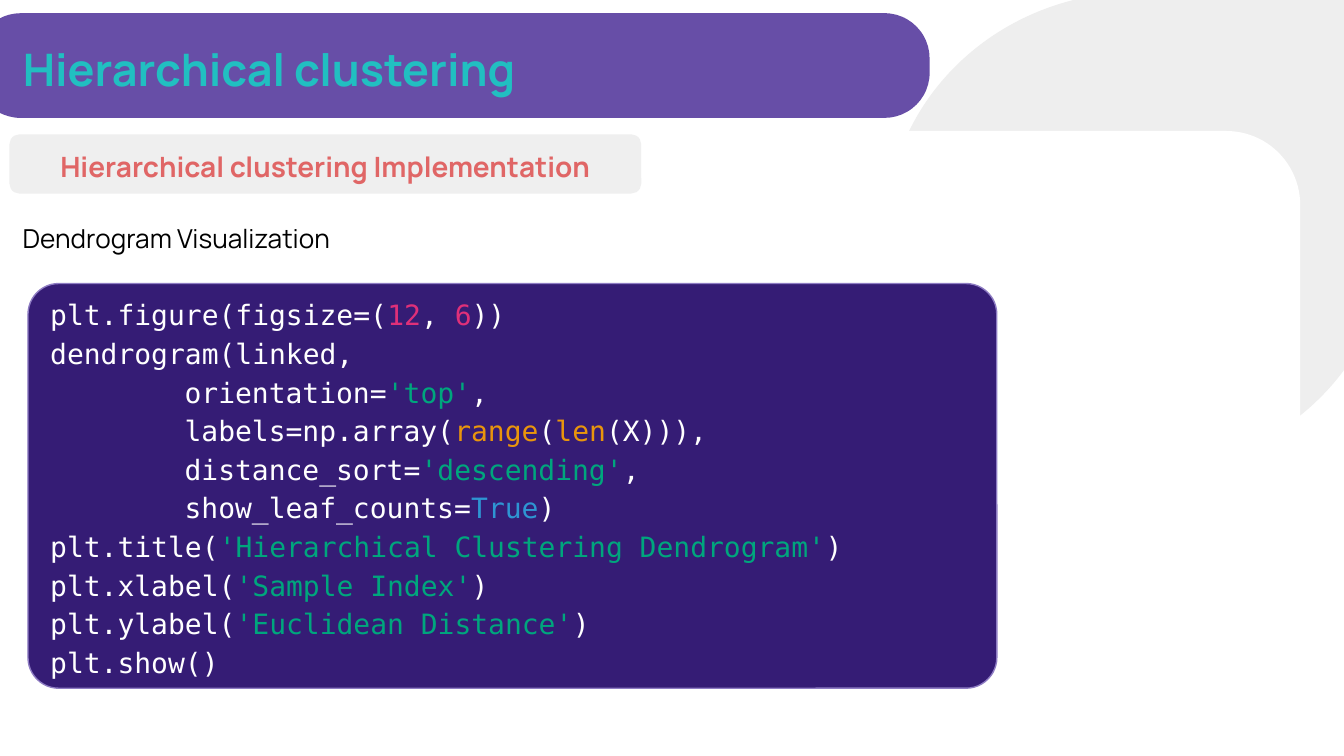
from dataclasses import dataclass

from pptx import Presentation
from pptx.dml.color import RGBColor as Rgb
from pptx.enum.shapes import MSO_SHAPE as Shape
from pptx.enum.text import MSO_ANCHOR as Anchor, MSO_AUTO_SIZE as AutoSize, PP_ALIGN as Align
from pptx.util import Cm, Pt


@dataclass(frozen=True)
class Theme:
    text_font: str = "Manrope"
    code_font: str = "DejaVu Sans Mono"
    title_size: float = 24
    label_size: float = 15
    body_size: float = 14
    code_size: float = 15
    white: str = "FFFFFF"
    black: str = "000000"
    backdrop: str = "EEEEEE"
    bar: str = "674EA7"
    title: str = "21BFC1"
    label_fill: str = "EFEFEF"
    label: str = "E06666"
    code_fill: str = "351C75"
    code_line: str = "8E7CC3"
    number: str = "DF3079"
    string: str = "00A67D"
    builtin: str = "E9950C"
    keyword: str = "2E95D3"


theme = Theme()


def add_panel(kind, left, top, width, height, fill, rounding, line=None):
    panel = page.shapes.add_shape(kind, Cm(left), Cm(top), Cm(width), Cm(height))
    panel.shadow.inherit = False
    panel.adjustments[0] = rounding
    panel.fill.solid()
    panel.fill.fore_color.rgb = Rgb.from_string(fill)
    if line:
        panel.line.color.rgb = Rgb.from_string(line)
        panel.line.width = Pt(0.75)
    else:
        panel.line.fill.background()
    return panel


def write(box, text, color, size, font=theme.text_font, bold=False, align=Align.LEFT,
          anchor=Anchor.TOP, spacing=1.15, indent=0):
    """Write text, or a list of lines made of (words, color) spans; a tab at the start indents a line."""
    frame = box.text_frame
    frame.word_wrap = True
    frame.auto_size = AutoSize.NONE
    frame.vertical_anchor = anchor
    frame.margin_left = frame.margin_right = Cm(0.25)
    frame.margin_top = frame.margin_bottom = Cm(0.25)
    lines = [[(text, color)]] if isinstance(text, str) else text
    for index, line in enumerate(lines):
        para = frame.paragraphs[0] if index == 0 else frame.add_paragraph()
        para.alignment = align
        para.line_spacing = spacing
        if line[0][0].startswith("\t"):
            properties = para._p.get_or_add_pPr()
            properties.set("marL", str(Cm(indent)))
            properties.set("indent", str(Cm(indent)))
        for words, span_color in line:
            span = para.add_run()
            span.text = words.lstrip("\t")
            span.font.name = font
            span.font.size = Pt(size)
            span.font.bold = bold
            span.font.color.rgb = Rgb.from_string(span_color)


deck = Presentation()
deck.slide_width, deck.slide_height = Cm(25.4), Cm(14.29)
page = deck.slides.add_slide(deck.slide_layouts[5])

# Backdrop
add_panel(Shape.TEAR, 16.74, -0.15, 9.53, 9.07, theme.backdrop, 0.98)
add_panel(Shape.ROUNDED_RECTANGLE, -0.46, 0.25, 18.03, 1.98, theme.bar, 0.431)
add_panel(Shape.ROUNDED_RECTANGLE, 0.79, 2.49, 23.77, 11.07, theme.white, 0.125, line=theme.white)

# Title, brought in front of the backdrop
title = page.shapes.title
title.element.getparent().append(title.element)
title.left, title.top, title.width, title.height = Cm(0.18), Cm(0.38), Cm(23.67), Cm(1.6)
write(title, "Hierarchical clustering", theme.title, theme.title_size, bold=True)

# Section label and step
step = page.shapes.add_textbox(Cm(0.18), Cm(3.96), Cm(16.43), Cm(1.12))
write(step, "Dendrogram Visualization", theme.black, theme.body_size, spacing=1.0)

label = add_panel(Shape.ROUNDED_RECTANGLE, 0.18, 2.54, 11.94, 1.12, theme.label_fill, 0.167)
write(label, "Hierarchical clustering Implementation", theme.label, theme.label_size,
      bold=True, align=Align.CENTER, anchor=Anchor.MIDDLE)

# Code
plain, number, string = theme.white, theme.number, theme.string
code_lines = [
    [("plt.figure(figsize=(", plain), ("12", number), (", ", plain), ("6", number), ("))", plain)],
    [("dendrogram(linked,", plain)],
    [("\torientation=", plain), ("'top'", string), (",", plain)],
    [("\tlabels=np.array(", plain), ("range", theme.builtin), ("(", plain),
     ("len", theme.builtin), ("(X))),", plain)],
    [("\tdistance_sort=", plain), ("'descending'", string), (",", plain)],
    [("\tshow_leaf_counts=", plain), ("True", theme.keyword), (")", plain)],
    [("plt.title(", plain), ("'Hierarchical Clustering Dendrogram'", string), (")", plain)],
    [("plt.xlabel(", plain), ("'Sample Index'", string), (")", plain)],
    [("plt.ylabel(", plain), ("'Euclidean Distance'", string), (")", plain)],
    [("plt.show()", plain)],
]
code = add_panel(Shape.ROUNDED_RECTANGLE, 0.53, 5.36, 18.31, 7.65, theme.code_fill, 0.076,
                 line=theme.code_line)
write(code, code_lines, plain, theme.code_size, font=theme.code_font, anchor=Anchor.MIDDLE,
      indent=1.27)

deck.save("out.pptx")
